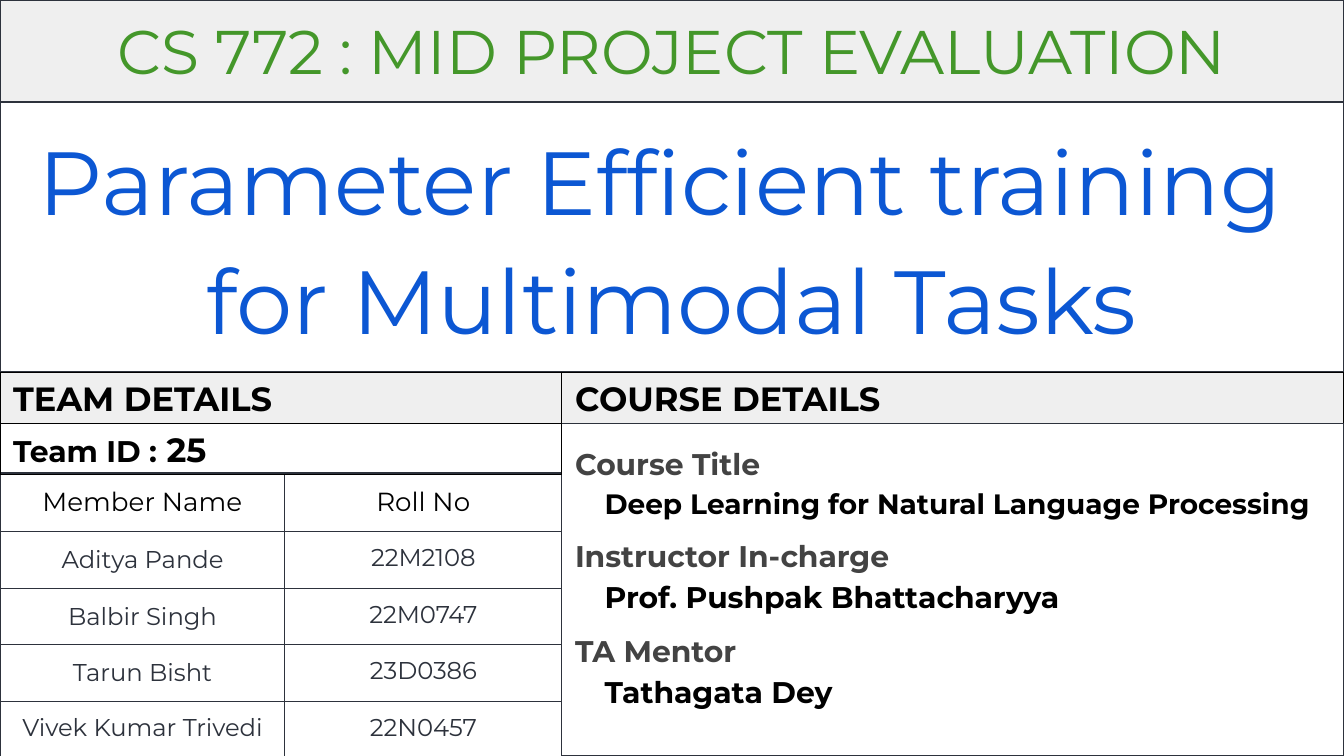
import pptx
import pptx.util
import pptx.dml.color
import pptx.enum.shapes
import pptx.enum.text
import pptx.oxml
import pptx.oxml.ns
from dataclasses import dataclass

# Content
HEADING = "CS 772 : MID PROJECT EVALUATION"
TITLE = ["Parameter Efficient training ", "for Multimodal Tasks"]
TEAM_HEAD, COURSE_HEAD = "TEAM DETAILS", "COURSE DETAILS"
TEAM_LABEL, TEAM_ID = "Team ID :", " 25"
MEMBERS = [
    ("Member Name", "Roll No"),
    ("Aditya Pande", "22M2108"),
    ("Balbir Singh", "22M0747"),
    ("Tarun Bisht", "23D0386"),
    ("Vivek Kumar Trivedi", "22N0457"),
]
COURSE = [  # label, value, value size, space before
    ("Course Title", "Deep Learning for Natural Language Processing", 15, 0),
    ("Instructor In-charge", "Prof. Pushpak Bhattacharyya", 16, 6),
    ("TA Mentor", "Tathagata Dey", 16, 7),
]


@dataclass(frozen=True)
class Theme:
    font: str = "Montserrat"
    band: str = "EFEFEF"
    white: str = "FFFFFF"
    black: str = "000000"
    slate: str = "2D323C"
    grey: str = "434343"
    green: str = "44972A"
    blue: str = "0C57D3"
    heading: int = 33
    title: int = 48
    section: int = 18
    label: int = 16
    column: int = 14
    member: int = 13
    rule: float = 0.75


T = Theme()
ALIGN = pptx.enum.text.PP_ALIGN
ANCHOR = pptx.enum.text.MSO_ANCHOR
Inches, Pt = pptx.util.Inches, pptx.util.Pt

# Grid: left and right panels under two full-width bands
W = 10
H = W * 9 / 16
SPLIT, INSET = 4.18, 0.1
HEAD_H, TITLE_H, BAR_H = 0.76, 2.01, 0.38
BAR_Y = HEAD_H + TITLE_H
BODY_Y = BAR_Y + BAR_H
TABLE_Y = 3.52
COLS, ROW_H = (2.12, 2.06), 0.41

prs = pptx.Presentation()
prs.slide_width, prs.slide_height = Inches(W), Inches(H)
s = prs.slides.add_slide(prs.slide_layouts[6])


def rgb(color):
    return pptx.dml.color.RGBColor.from_string(color)


def add_run(p, text, size, color, bold=False):
    r = p.add_run()
    r.text = text
    r.font.name, r.font.size, r.font.bold = T.font, Pt(size), bold
    r.font.color.rgb = rgb(color)


def add_panel(x, y, w, h, line, fill=None, align=ALIGN.LEFT, anchor=ANCHOR.TOP):
    sp = s.shapes.add_shape(pptx.enum.shapes.MSO_SHAPE.RECTANGLE,
                            Inches(x), Inches(y), Inches(w), Inches(h))
    sp.shadow.inherit = False
    if fill:
        sp.fill.solid()
        sp.fill.fore_color.rgb = rgb(fill)
    else:
        sp.fill.background()
    sp.line.color.rgb, sp.line.width = rgb(line), Pt(T.rule)
    tf = sp.text_frame
    tf.word_wrap, tf.vertical_anchor = True, anchor
    tf.margin_left = tf.margin_right = Inches(INSET)
    tf.margin_top = tf.margin_bottom = Inches(INSET)
    tf.paragraphs[0].alignment = align
    return tf


def add_borders(cell):
    tc_pr = cell._tc.get_or_add_tcPr()
    ns = pptx.oxml.ns.nsdecls("a")
    for i, side in enumerate(("lnL", "lnR", "lnT", "lnB")):
        tc_pr.insert(i, pptx.oxml.parse_xml(
            f'<a:{side} {ns} w="{Pt(T.rule)}"><a:solidFill>'
            f'<a:srgbClr val="{T.slate}"/></a:solidFill></a:{side}>'))


# Heading and project title
tf = add_panel(0, 0, W, HEAD_H, T.slate, T.band, ALIGN.CENTER)
add_run(tf.paragraphs[0], HEADING, T.heading, T.green)
tf = add_panel(0, HEAD_H, W, TITLE_H, T.slate, T.white, ALIGN.CENTER)
p = tf.paragraphs[0]
p.line_spacing = 1.1
for i, line in enumerate(TITLE):
    if i:
        p.add_line_break()
    add_run(p, line, T.title, T.blue)

# Team bar
tf = add_panel(0, BAR_Y, SPLIT, BAR_H, T.black, T.band, anchor=ANCHOR.MIDDLE)
add_run(tf.paragraphs[0], TEAM_HEAD, T.section, T.black, True)

# Member table
tbl = s.shapes.add_table(len(MEMBERS), len(COLS), Inches(0), Inches(TABLE_Y),
                         Inches(sum(COLS)), Inches(ROW_H * len(MEMBERS))).table
tbl.first_row = tbl.horz_banding = False
for col, width in zip(tbl.columns, COLS):
    col.width = Inches(width)
for i, row in enumerate(MEMBERS):
    tbl.rows[i].height = Inches(ROW_H)
    for j, text in enumerate(row):
        cell = tbl.cell(i, j)
        cell.fill.background()
        add_borders(cell)
        cell.margin_left = cell.margin_right = Inches(INSET)
        cell.margin_top = cell.margin_bottom = Inches(INSET)
        p = cell.text_frame.paragraphs[0]
        p.alignment = ALIGN.CENTER
        if i and (j or i == len(MEMBERS) - 1):
            p.line_spacing = 0.9
        size, color = (T.member, T.slate) if i else (T.column, T.black)
        add_run(p, text, size, color)

# Course bar and details
tf = add_panel(SPLIT, BAR_Y, W - SPLIT, BAR_H, T.black, T.band, anchor=ANCHOR.MIDDLE)
add_run(tf.paragraphs[0], COURSE_HEAD, T.section, T.black, True)
tf = add_panel(SPLIT, BODY_Y, W - SPLIT, H - BODY_Y, T.slate)
tf.margin_top = Inches(0.13)
for i, (label, value, size, space) in enumerate(COURSE):
    p = tf.add_paragraph() if i else tf.paragraphs[0]
    p.alignment, p.line_spacing = ALIGN.LEFT, 1.15
    if space:
        p.space_before = Pt(space)
    add_run(p, label, T.label, T.grey, True)
    p = tf.add_paragraph()
    p.alignment, p.line_spacing = ALIGN.LEFT, 1.15
    p._p.get_or_add_pPr().set("marL", str(Inches(0.22)))
    add_run(p, value, size, T.black, True)

# Team number
tf = add_panel(0, BODY_Y, SPLIT, BAR_H, T.black, anchor=ANCHOR.MIDDLE)
add_run(tf.paragraphs[0], TEAM_LABEL, T.label, T.black, True)
add_run(tf.paragraphs[0], TEAM_ID, T.section, T.black, True)

prs.save("out.pptx")
